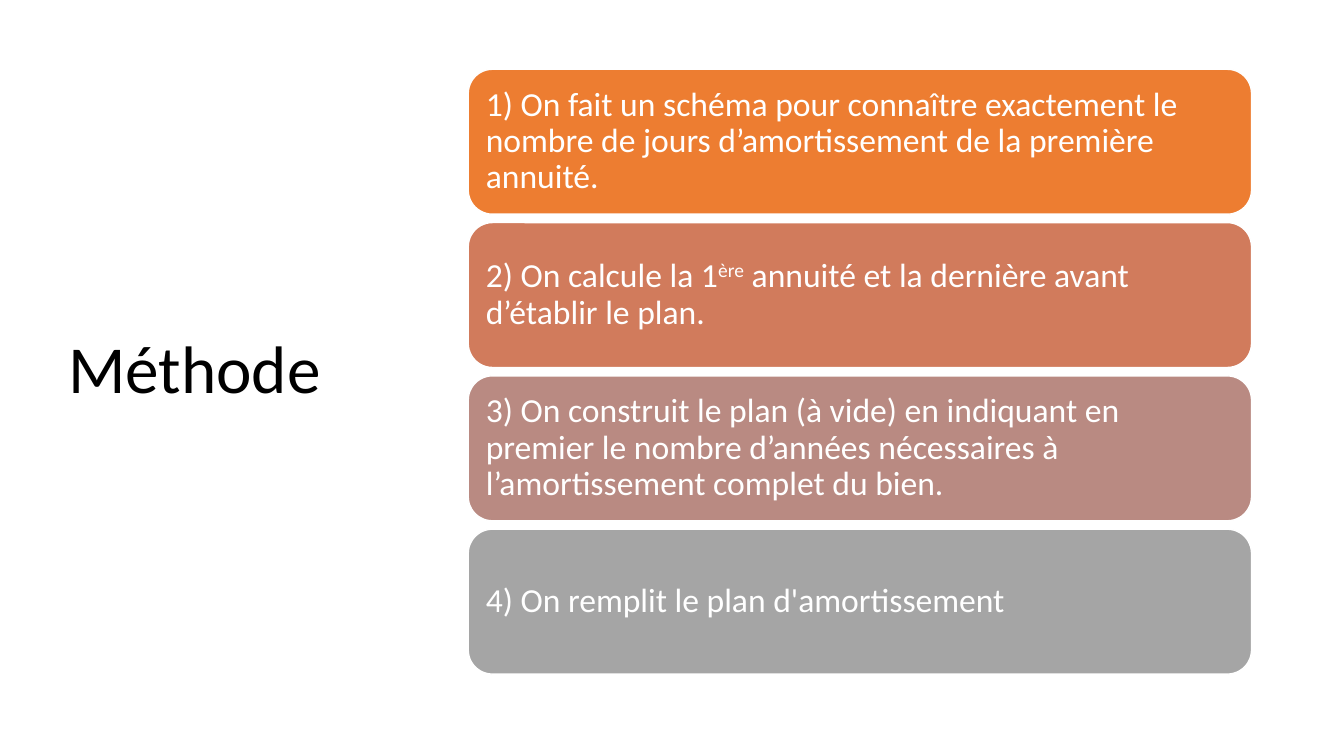
from dataclasses import dataclass

from pptx import Presentation, util as u
from pptx.dml.color import RGBColor
from pptx.enum import shapes, text
from pptx.shapes.autoshape import Shape
from pptx.slide import Slide

PX = 9525  # EMU in one px, 96 px to the inch
FONT = "Calibri"
WHITE = "FFFFFF"
BLACK = "000000"

STEP_LEFT, STEP_TOP = 446, 66
STEP_WIDTH, STEP_HEIGHT = 746, 138
STEP_PITCH = 146


@dataclass(frozen=True)
class Run:
    words: str
    raised: bool = False


@dataclass(frozen=True)
class Step:
    fill: str
    runs: tuple[Run, ...]


STEPS = (
    Step("ED7D31", (Run(
        "1) On fait un schéma pour connaître exactement le nombre de jours "
        "d’amortissement de la première annuité."),)),
    Step("D17B5C", (
        Run("2) On calcule la 1"),
        Run("ère", raised=True),
        Run(" annuité et la dernière avant d’établir le plan."))),
    Step("B98A82", (Run(
        "3) On construit le plan (à vide) en indiquant en premier le nombre "
        "d’années nécessaires à l’amortissement complet du bien."),)),
    Step("A5A5A5", (Run("4) On remplit le plan d'amortissement"),)),
)


def px(length: int) -> u.Emu:
    return u.Emu(length * PX)


def color(code: str) -> RGBColor:
    return RGBColor.from_string(code)


def write(box: Shape, runs: tuple[Run, ...], *, size: int, ink: str,
          inset_y: int, after: float = 0) -> None:
    """Fill the box with one left-aligned, vertically centred paragraph."""
    frame = box.text_frame
    frame.word_wrap = True
    frame.vertical_anchor = text.MSO_ANCHOR.MIDDLE
    frame.margin_left = frame.margin_right = px(10)
    frame.margin_top = frame.margin_bottom = px(inset_y)
    para = frame.paragraphs[0]
    para.alignment = text.PP_ALIGN.LEFT
    para.line_spacing = 0.9
    para.space_after = u.Pt(after)
    for run in runs:
        span = para.add_run()
        span.text = run.words
        span.font.name = FONT
        span.font.size = u.Pt(size)
        span.font.color.rgb = color(ink)
        if run.raised:
            span._r.get_or_add_rPr().set("baseline", "30000")


def add_title(page: Slide, words: str) -> None:
    box = page.shapes.add_textbox(px(55), px(65), px(373), px(578))
    write(box, (Run(words),), size=48, ink=BLACK, inset_y=5)


def add_step(page: Slide, step: Step, top: int) -> None:
    box = page.shapes.add_shape(
        shapes.MSO_SHAPE.ROUNDED_RECTANGLE,
        px(STEP_LEFT), px(top), px(STEP_WIDTH), px(STEP_HEIGHT))
    box.shadow.inherit = False
    box.fill.solid()
    box.fill.fore_color.rgb = color(step.fill)
    box.line.color.rgb = color(WHITE)
    box.line.width = u.Pt(1)
    write(box, step.runs, size=24, ink=WHITE, inset_y=10, after=8.4)


def main() -> None:
    deck = Presentation()
    deck.slide_width, deck.slide_height = px(1280), px(720)
    page = deck.slides.add_slide(deck.slide_layouts[6])
    add_title(page, "Méthode")
    for row, step in enumerate(STEPS):
        add_step(page, step, STEP_TOP + row * STEP_PITCH)
    deck.save("out.pptx")


if __name__ == "__main__":
    main()
